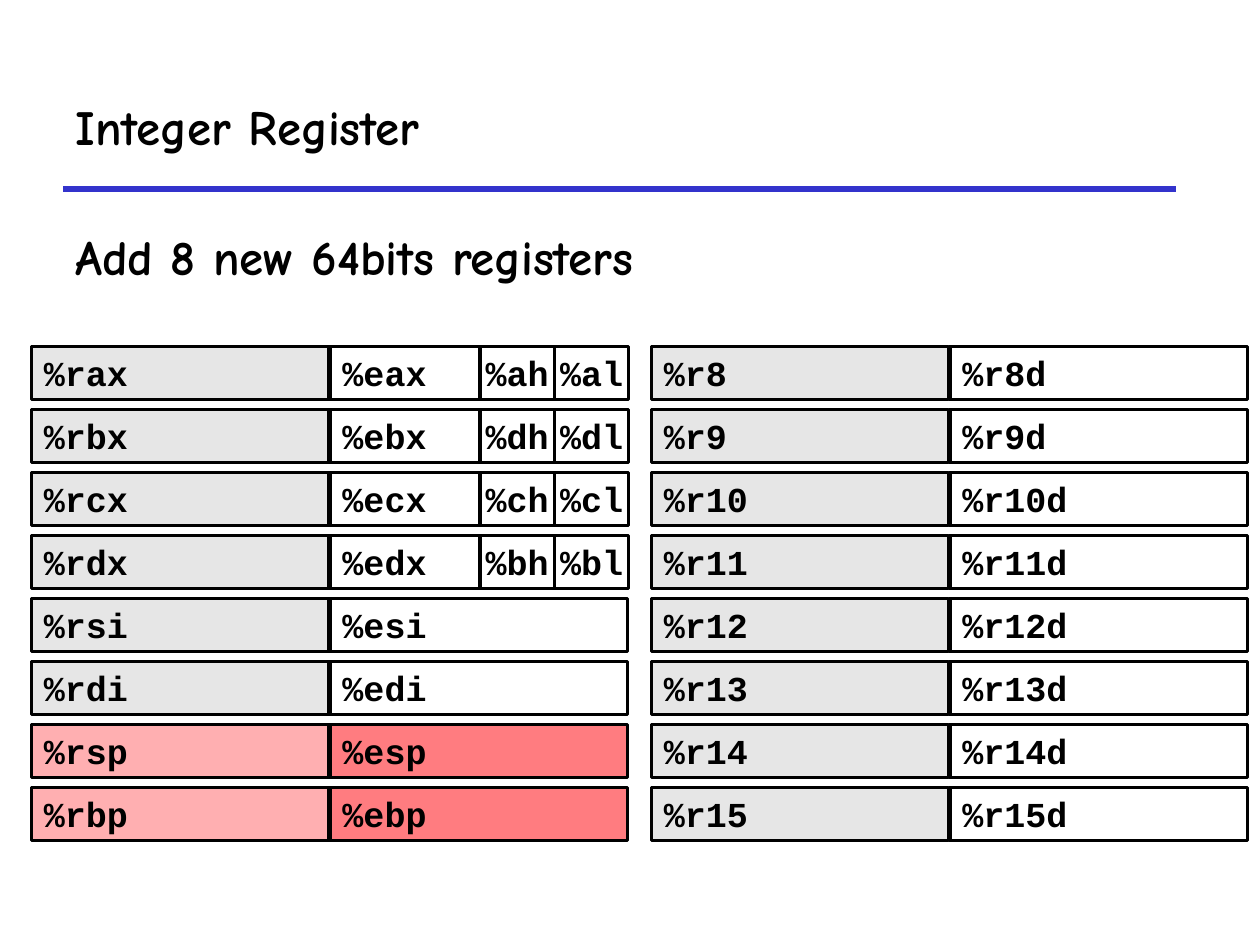
import pptx
import pptx.dml.color
import pptx.enum.shapes
import pptx.enum.text
import pptx.oxml.ns
import pptx.util
from lxml import etree
from pptx.util import Inches

RGBColor = pptx.dml.color.RGBColor
BLACK = RGBColor(0x00, 0x00, 0x00)
WHITE = RGBColor(0xFF, 0xFF, 0xFF)
BLUE = RGBColor(0x33, 0x33, 0xCC)
GRAY = RGBColor(0xE6, 0xE6, 0xE6)
PINK = RGBColor(0xFF, 0xAF, 0xB1)
RED = RGBColor(0xFF, 0x7C, 0x80)

PP_ALIGN = pptx.enum.text.PP_ALIGN
MSO_ANCHOR = pptx.enum.text.MSO_ANCHOR

FIRST_ROW = 2.75
ROW_PITCH = 0.5
CELL_HEIGHT = 0.42
REGISTER_WIDTH = 2.36
BYTE_WIDTH = 0.59
RAX_LEFT, EAX_LEFT, R8_LEFT, R8D_LEFT = 0.25, 2.62, 5.17, 7.54
AH_LEFT, AL_LEFT = 3.81, 4.4

LEGACY_NAMES = ["ax", "bx", "cx", "dx", "si", "di", "sp", "bp"]
STACK_NAMES = ["sp", "bp"]
BYTE_LETTERS = "adcb"


def style_paragraph(paragraph, font_name, size, align=PP_ALIGN.LEFT):
    paragraph.alignment = align
    paragraph.font.name = font_name
    paragraph.font.size = pptx.util.Pt(size)
    paragraph.font.bold = True
    paragraph.font.color.rgb = BLACK


def add_heading(slide, text, top, width, height, anchor):
    heading = slide.shapes.add_textbox(
        Inches(0.5), Inches(top), Inches(width), Inches(height))
    frame = heading.text_frame
    frame.word_wrap = True
    frame.vertical_anchor = anchor
    frame.text = text
    style_paragraph(frame.paragraphs[0], "Comic Neue", 28)


def add_rule(slide):
    rule = slide.shapes.add_connector(
        pptx.enum.shapes.MSO_CONNECTOR.STRAIGHT,
        Inches(0.5), Inches(1.5), Inches(9.33), Inches(1.5))
    rule.line.color.rgb = BLUE
    rule.line.width = pptx.util.Pt(3)
    etree.SubElement(rule._element.spPr, pptx.oxml.ns.qn("a:effectLst"))


def add_cell(slide, name, left, row, width, fill):
    cell = slide.shapes.add_shape(
        pptx.enum.shapes.MSO_SHAPE.RECTANGLE,
        Inches(left), Inches(FIRST_ROW + row * ROW_PITCH),
        Inches(width), Inches(CELL_HEIGHT))
    cell.shadow.inherit = False
    if fill is None:
        cell.fill.background()
    else:
        cell.fill.solid()
        cell.fill.fore_color.rgb = fill
    cell.line.color.rgb = BLACK
    cell.line.width = pptx.util.Pt(2)
    frame = cell.text_frame
    frame.word_wrap = False
    frame.vertical_anchor = MSO_ANCHOR.MIDDLE
    frame.text = name
    return cell


def add_register(slide, name, left, row, fill):
    register = add_cell(slide, name, left, row, REGISTER_WIDTH, fill)
    style_paragraph(register.text_frame.paragraphs[0], "Courier New", 20)


def add_byte_register(slide, name, left, row):
    frame = add_cell(slide, name, left, row, BYTE_WIDTH, WHITE).text_frame
    frame.margin_left = frame.margin_right = 0
    frame.margin_top = frame.margin_bottom = 0
    style_paragraph(frame.paragraphs[0], "Courier New", 20, PP_ALIGN.CENTER)


def main():
    deck = pptx.Presentation()
    deck.slide_width = Inches(10)
    deck.slide_height = Inches(7.5)
    slide = deck.slides.add_slide(deck.slide_layouts[6])

    add_rule(slide)
    add_heading(slide, "Integer Register", 0.5, 8.83, 1, MSO_ANCHOR.MIDDLE)
    add_heading(slide, "Add 8 new 64bits registers", 1.75, 9.08, 0.83,
                MSO_ANCHOR.TOP)

    for row, name in enumerate(LEGACY_NAMES):
        on_stack = name in STACK_NAMES
        add_register(slide, f"%r{name}", RAX_LEFT, row,
                     PINK if on_stack else GRAY)
        add_register(slide, f"%e{name}", EAX_LEFT, row,
                     RED if on_stack else WHITE)
    for row, letter in enumerate(BYTE_LETTERS):
        add_byte_register(slide, f"%{letter}l", AL_LEFT, row)
        add_byte_register(slide, f"%{letter}h", AH_LEFT, row)
    for row, number in enumerate(range(8, 16)):
        add_register(slide, f"%r{number}", R8_LEFT, row, GRAY)
        add_register(slide, f"%r{number}d", R8D_LEFT, row, None)

    deck.save("out.pptx")


if __name__ == "__main__":
    main()
